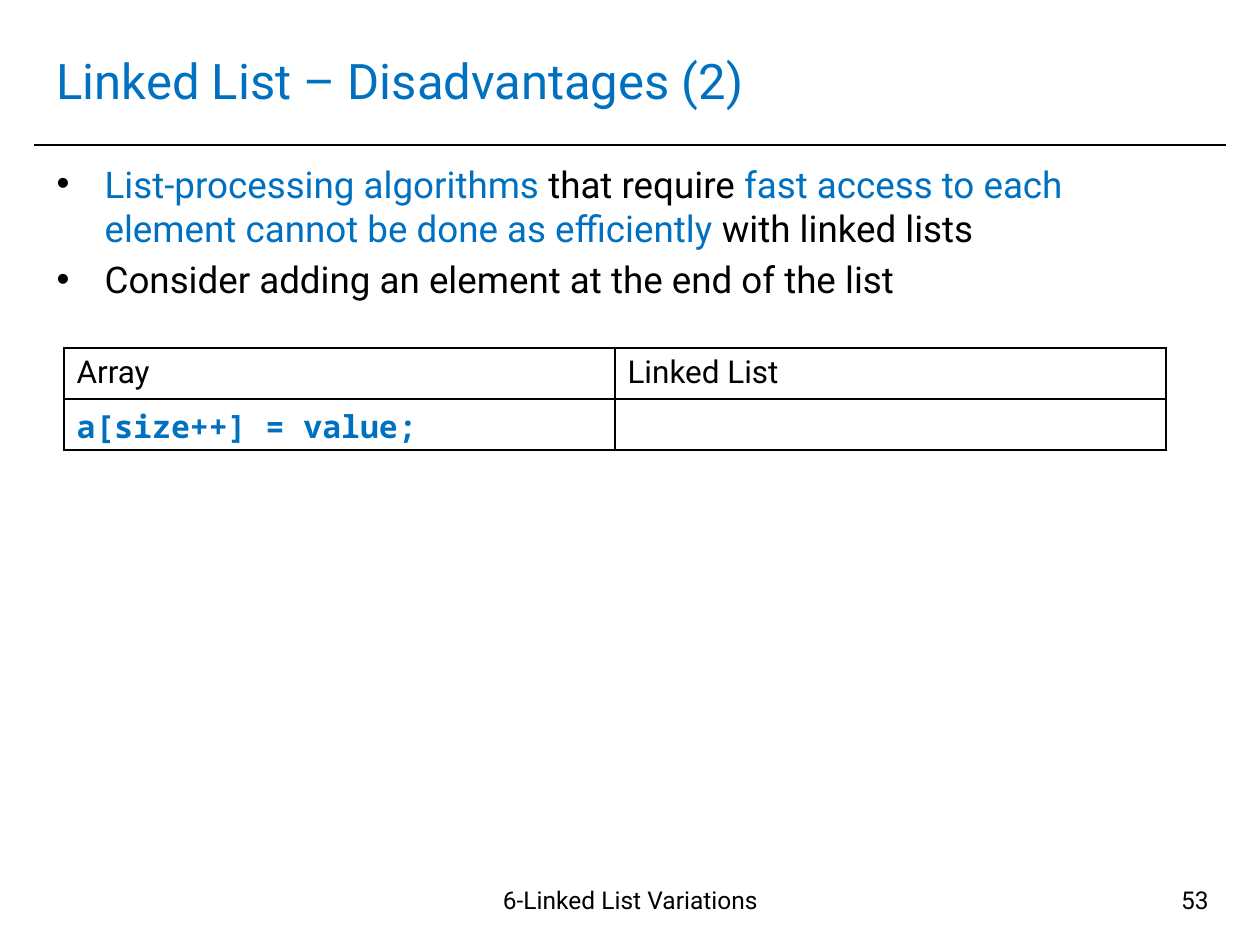
"""Build the slide on the disadvantages of linked lists."""
from lxml.etree import SubElement
from pptx import Presentation
from pptx.dml.color import RGBColor
from pptx.enum.shapes import MSO_CONNECTOR
from pptx.enum.text import MSO_ANCHOR, MSO_AUTO_SIZE, PP_ALIGN
from pptx.oxml.ns import qn
from pptx.util import Pt

BLACK = RGBColor(0x00, 0x00, 0x00)
WHITE = RGBColor(0xFF, 0xFF, 0xFF)
BLUE = RGBColor(0x00, 0x70, 0xC0)
PX = 914400 / 126


def px(n):
    return round(n * PX)


def add_text(p, text, size=18, color=BLACK, font="Roboto", bold=False, align=PP_ALIGN.LEFT):
    p.alignment = align
    r = p.add_run()
    r.text = text
    r.font.name = font
    r.font.size = Pt(size)
    r.font.bold = bold
    r.font.color.rgb = color


prs = Presentation()
prs.slide_width, prs.slide_height = px(1260), px(945)
s = prs.slides.add_slide(prs.slide_layouts[1])

rule = s.shapes.add_connector(MSO_CONNECTOR.STRAIGHT, px(34), px(145), px(1226), px(145))
rule.line.color.rgb = BLACK
rule.line.width = Pt(1)
SubElement(rule._element.spPr, qn("a:effectLst"))

title, body = s.shapes.title, s.placeholders[1]
for sp, top, height in [(title, 26, 107), (body, 155, 169)]:
    sp.left, sp.top, sp.width, sp.height = px(44), px(top), px(1171), px(height)
    sp.text_frame.auto_size = MSO_AUTO_SIZE.NONE
    sp.text_frame.word_wrap = True

title.text_frame.vertical_anchor = MSO_ANCHOR.MIDDLE
add_text(title.text_frame.paragraphs[0], "Linked List – Disadvantages (2)", size=28, color=BLUE)

bullets = [
    [
        ("List-processing algorithms ", BLUE),
        ("that require ", BLACK),
        ("fast access to each element cannot be done as efficiently ", BLUE),
        ("with linked lists", BLACK),
    ],
    [("Consider adding an element at the end of the list", BLACK)],
]
tf = body.text_frame
for i, runs in enumerate(bullets):
    p = tf.add_paragraph() if i else tf.paragraphs[0]
    p.space_before = Pt(4 if i else 0)
    pPr = p._p.get_or_add_pPr()
    pPr.set("marL", str(px(48)))
    pPr.set("indent", str(px(-48)))
    SubElement(SubElement(pPr, qn("a:buClr")), qn("a:srgbClr"), val=str(BLACK))
    SubElement(pPr, qn("a:buFont"), typeface="Arial")
    SubElement(pPr, qn("a:buChar"), char="•")
    for text, color in runs:
        add_text(p, text, size=21, color=color)

footers = [
    ("6-Linked List Variations", 422, 417, PP_ALIGN.CENTER),
    ("53", 927, 294, PP_ALIGN.RIGHT),
]
for text, left, width, align in footers:
    tf = s.shapes.add_textbox(px(left), px(879), px(width), px(66)).text_frame
    tf.word_wrap = True
    add_text(tf.paragraphs[0], text, size=14, align=align)

rows = [
    [("Array", {}), ("Linked List", {})],
    [("a[size++] = value;", {"font": "Noto Sans Mono", "color": BLUE, "bold": True}), ("", {})],
]
table = s.shapes.add_table(2, 2, px(64), px(348), px(1102), px(102)).table
for r, row in enumerate(rows):
    for c, (text, style) in enumerate(row):
        cell = table.cell(r, c)
        tcPr = cell._tc.get_or_add_tcPr()
        for side in ("lnL", "lnR", "lnT", "lnB"):
            ln = SubElement(tcPr, qn(f"a:{side}"), w=str(Pt(1)))
            SubElement(SubElement(ln, qn("a:solidFill")), qn("a:srgbClr"), val=str(BLACK))
        cell.fill.solid()
        cell.fill.fore_color.rgb = WHITE
        if text:
            add_text(cell.text_frame.paragraphs[0], text, **style)

prs.save("out.pptx")
